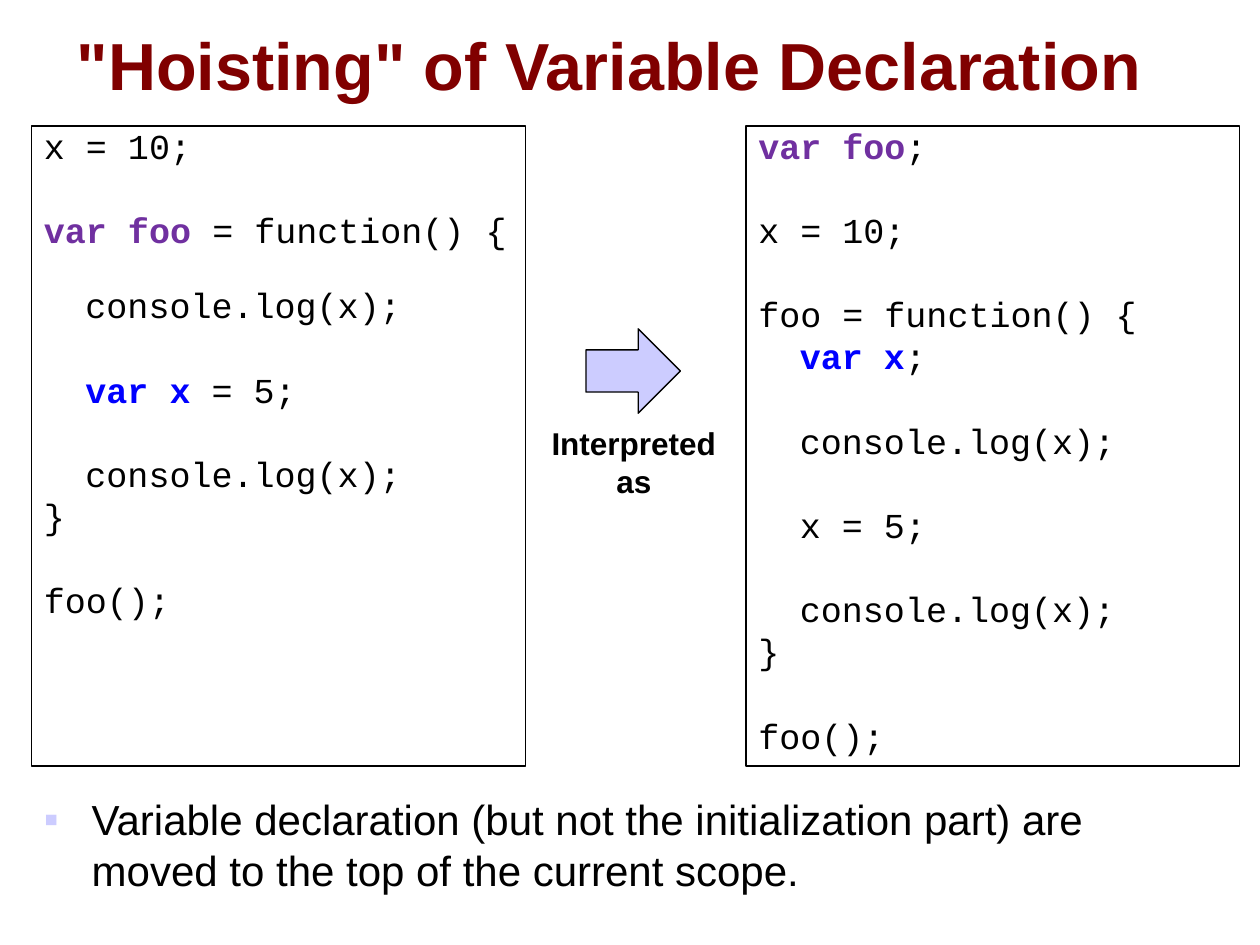
from dataclasses import dataclass

import pptx
import pptx.dml.color
import pptx.enum.shapes
import pptx.enum.text
import pptx.oxml
import pptx.oxml.ns
import pptx.util
from pptx.util import Inches

ALIGN = pptx.enum.text.PP_ALIGN
ANCHOR = pptx.enum.text.MSO_ANCHOR
SHAPES = pptx.enum.shapes.MSO_SHAPE


@dataclass(frozen=True)
class Theme:
    """Colours, fonts and type sizes of the slide."""
    ink: str = "000000"
    paper: str = "FFFFFF"
    title: str = "800000"
    outer_scope: str = "7030A0"
    inner_scope: str = "0000FF"
    accent: str = "CCCCFF"
    sans: str = "Arial"
    mono: str = "Courier New"
    title_size: float = 38
    body_size: float = 24
    code_size: float = 20
    label_size: float = 18
    outline: float = 0.74
    code_spacing: float = 0.8
    code_line: float = 18.9  # height of one code line in points
    code_gap: float = 5
    body_gap: float = 6


THEME = Theme()
CODE_INDENT = Inches(0.33)

# Each line: blank space above in points, indent level, (text, colour) runs.
BLANK = THEME.code_line + THEME.code_gap
LOG_CALL = ("console.log(x);", THEME.ink)
SOURCE_CODE = [
    (0, 0, [("x = 10;", THEME.ink)]),
    (BLANK, 0, [("var foo ", THEME.outer_scope), ("= function() {", THEME.ink)]),
    (THEME.code_line, 1, [LOG_CALL]),
    (BLANK, 1, [("var x ", THEME.inner_scope), ("= 5;", THEME.ink)]),
    (BLANK, 1, [LOG_CALL]),
    (0, 0, [("}", THEME.ink)]),
    (BLANK, 0, [("foo();", THEME.ink)]),
]
HOISTED_CODE = [
    (0, 0, [("var foo", THEME.outer_scope), (";", THEME.ink)]),
    (BLANK, 0, [("x = 10;", THEME.ink)]),
    (BLANK, 0, [("foo = function() {", THEME.ink)]),
    (0, 1, [("var x", THEME.inner_scope), (";", THEME.ink)]),
    (BLANK, 1, [LOG_CALL]),
    (BLANK, 1, [("x = 5;", THEME.ink)]),
    (BLANK, 1, [LOG_CALL]),
    (0, 0, [("}", THEME.ink)]),
    (BLANK, 0, [("foo();", THEME.ink)]),
]


def rgb(code):
    """Turn a hex code into a colour."""
    return pptx.dml.color.RGBColor.from_string(code)


def add_run(paragraph, text, font, size, color, bold=False):
    """Append one formatted run to a paragraph."""
    run = paragraph.add_run()
    run.text = text
    run.font.name = font
    run.font.size = pptx.util.Pt(size)
    run.font.bold = bold
    run.font.color.rgb = rgb(color)


def set_indent(paragraph, left, first_line=0):
    """Set the left margin and first-line indent of a paragraph."""
    properties = paragraph._p.get_or_add_pPr()
    properties.set("marL", str(int(left)))
    properties.set("indent", str(int(first_line)))


def add_bullet(paragraph, character, color):
    """Give a paragraph a coloured bullet."""
    properties = paragraph._p.get_or_add_pPr()
    namespace = pptx.oxml.ns.nsdecls("a")
    for xml in (
        f'<a:buClr {namespace}><a:srgbClr val="{color}"/></a:buClr>',
        f'<a:buFont {namespace} typeface="{THEME.sans}"/>',
        f'<a:buChar {namespace} char="{character}"/>',
    ):
        properties.append(pptx.oxml.parse_xml(xml))


def add_text(slide, left, top, width, height, lines, size, color,
             bold=False, align=ALIGN.LEFT, anchor=ANCHOR.TOP):
    """Add a text box with one paragraph per line and return its frame."""
    frame = slide.shapes.add_textbox(left, top, width, height).text_frame
    frame.word_wrap = True
    frame.vertical_anchor = anchor
    for index, line in enumerate(lines):
        paragraph = frame.add_paragraph() if index else frame.paragraphs[0]
        paragraph.alignment = align
        add_run(paragraph, line, THEME.sans, size, color, bold)
    return frame


def add_outlined(slide, kind, left, top, width, height, fill):
    """Add a filled preset shape with a thin dark outline."""
    shape = slide.shapes.add_shape(kind, left, top, width, height)
    shape.shadow.inherit = False
    shape.fill.solid()
    shape.fill.fore_color.rgb = rgb(fill)
    shape.line.color.rgb = rgb(THEME.ink)
    shape.line.width = pptx.util.Pt(THEME.outline)
    return shape


def add_code_panel(slide, left, code):
    """Add a framed code listing; coloured keywords are bold."""
    panel = add_outlined(slide, SHAPES.RECTANGLE, left, Inches(1),
                         Inches(3.92), Inches(5.08), THEME.paper)
    frame = panel.text_frame
    frame.word_wrap = True
    frame.vertical_anchor = ANCHOR.TOP
    for index, (space_above, level, runs) in enumerate(code):
        paragraph = frame.add_paragraph() if index else frame.paragraphs[0]
        paragraph.alignment = ALIGN.LEFT
        paragraph.line_spacing = THEME.code_spacing
        paragraph.space_before = pptx.util.Pt(THEME.code_gap + space_above)
        set_indent(paragraph, level * CODE_INDENT)
        for text, color in runs:
            add_run(paragraph, text, THEME.mono, THEME.code_size, color,
                    bold=color != THEME.ink)


def add_arrow_label(slide, lines):
    """Add the centred caption below the arrow, free of line wrapping."""
    frame = add_text(slide, Inches(4.27), Inches(3.32), Inches(1.52),
                     Inches(0.7), lines, THEME.label_size, THEME.ink,
                     bold=True, align=ALIGN.CENTER)
    frame.word_wrap = False
    frame.auto_size = pptx.enum.text.MSO_AUTO_SIZE.SHAPE_TO_FIT_TEXT


def add_rule(slide, text):
    """Add the bulleted statement under the panels."""
    frame = add_text(slide, Inches(0.25), Inches(6.25), Inches(9.5), Inches(1),
                     [text], THEME.body_size, THEME.ink)
    statement = frame.paragraphs[0]
    statement.space_before = pptx.util.Pt(THEME.body_gap)
    set_indent(statement, Inches(0.38), -Inches(0.38))
    add_bullet(statement, "\u25aa", THEME.accent)


def main():
    """Build the slide and save it."""
    deck = pptx.Presentation()
    deck.slide_width, deck.slide_height = Inches(10), Inches(7.5)
    slide = deck.slides.add_slide(deck.slide_layouts[6])

    add_text(slide, Inches(0.51), Inches(0.18), Inches(9), Inches(0.65),
             ['"Hoisting" of Variable Declaration'], THEME.title_size,
             THEME.title, bold=True, anchor=ANCHOR.MIDDLE)
    for left, code in ((0.25, SOURCE_CODE), (5.92, HOISTED_CODE)):
        add_code_panel(slide, Inches(left), code)
    add_outlined(slide, SHAPES.RIGHT_ARROW, Inches(4.65), Inches(2.61),
                 Inches(0.75), Inches(0.67), THEME.accent)
    add_arrow_label(slide, ["Interpreted", "as"])
    add_rule(slide, "Variable declaration (but not the initialization part) "
                    "are moved to the top of the current scope.")
    deck.save("out.pptx")


main()
